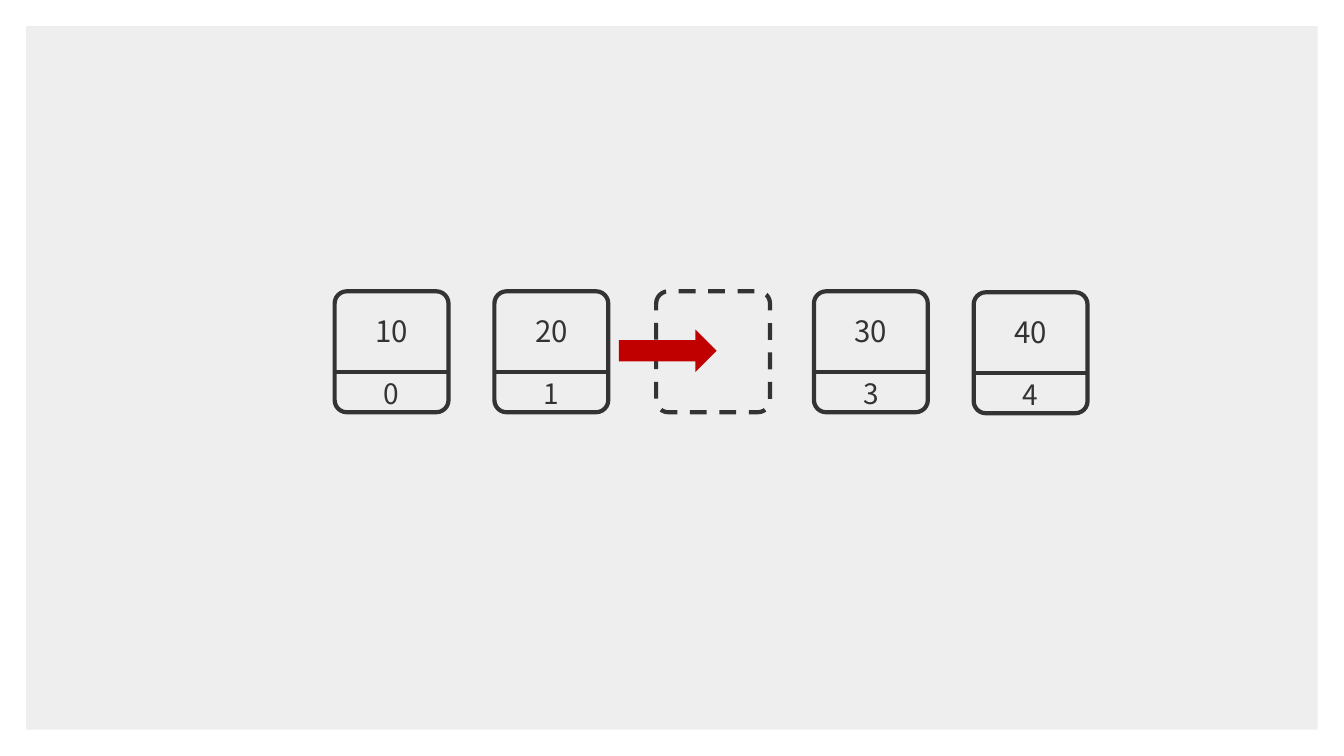
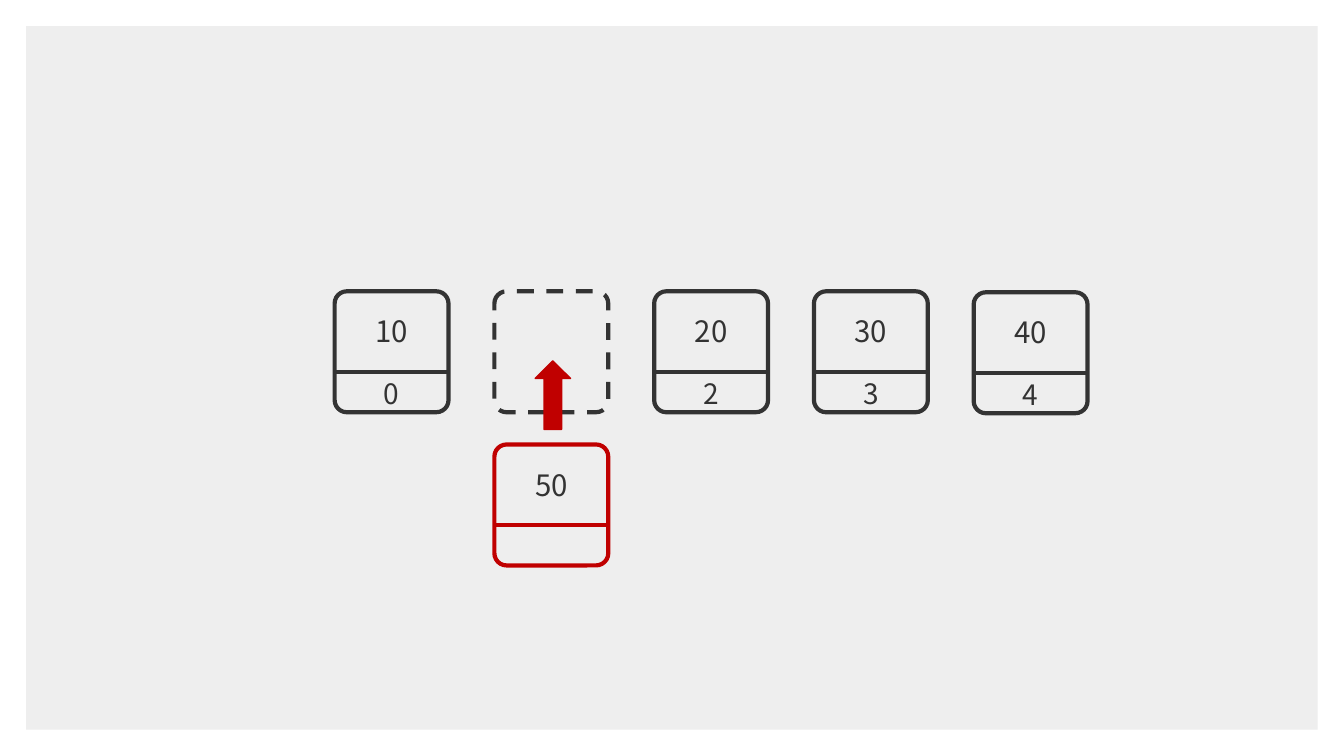
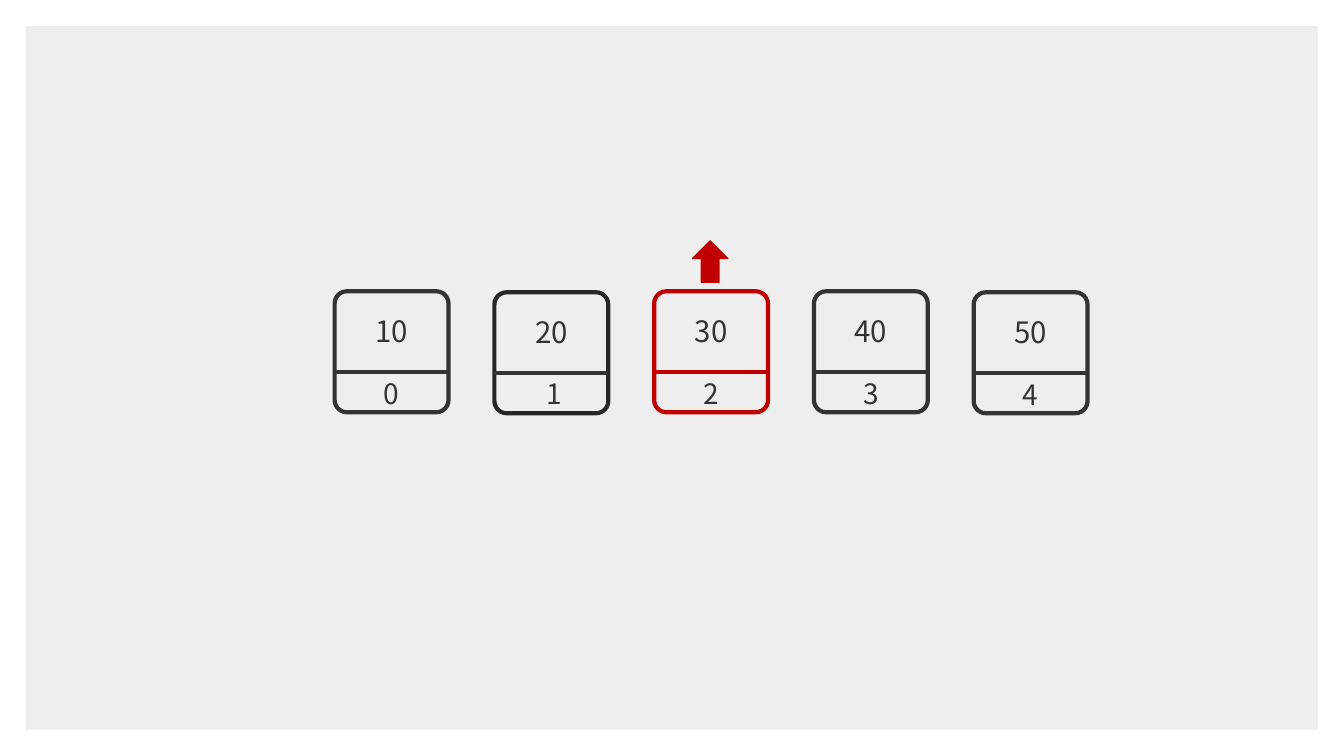
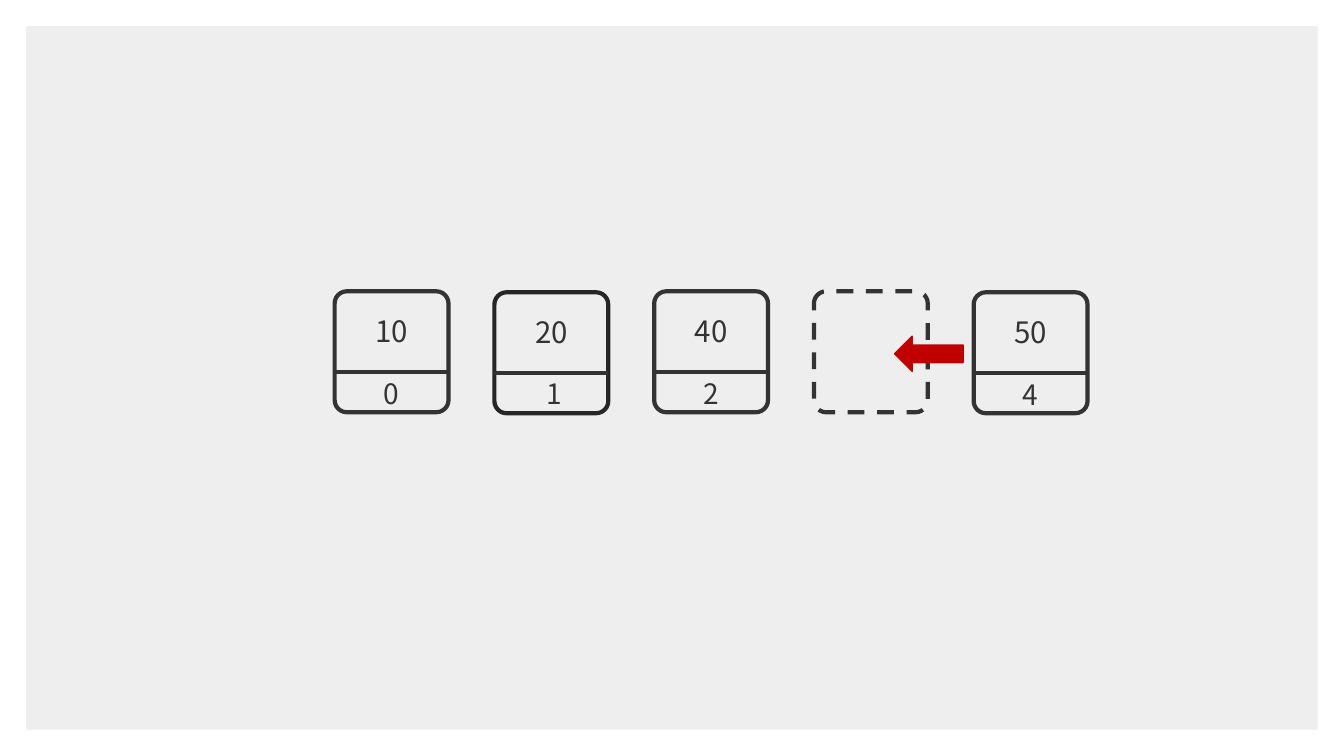
import dataclasses
import typing

import lxml.etree
import pptx
import pptx.dml.color
import pptx.enum.dml
import pptx.enum.shapes
import pptx.enum.text
import pptx.oxml.ns
import pptx.util

Pt = pptx.util.Pt
Preset = pptx.enum.shapes.MSO_SHAPE
Anchor = pptx.enum.text.MSO_ANCHOR

COLORS = {
    "panel": "EEEEEE",
    "ink": "333333",
    "dark": "262626",
    "accent": "C00000",
}
FONT = "Noto Sans CJK KR"
SLIDE_WIDTH, SLIDE_HEIGHT = 960, 540
PANEL_MARGIN = 18.72
ROW_LEFT, ROW_TOP, PITCH = 239.04, 208.08, 114.12
CELL_WIDTH, CELL_HEIGHT = 81.36, 86.4
DIVIDER_DROP = 57.6
VALUE_DROP, VALUE_HEIGHT = 12.24, 32.4
INDEX_HEIGHT = 31.68
LINE_WIDTH = 3
LOWERED = 0.72
INSERT_DROP = 109.44
INDEX_NUDGE = 2.16


@dataclasses.dataclass(frozen=True)
class Cell:
    slot: int
    value: str
    index: str = ""
    border: str = "ink"
    divider: str = "ink"
    drop: float = 0
    index_nudge: float = 0


@dataclasses.dataclass(frozen=True)
class Gap:
    slot: int
    nudge: float = 0


@dataclasses.dataclass(frozen=True)
class Arrow:
    preset: typing.Any
    left: float
    top: float
    width: float
    height: float
    rotation: float = 0
    outline: float = 1


@dataclasses.dataclass(frozen=True)
class Step:
    cells: tuple[Cell, ...]
    arrow: Arrow
    gap: typing.Optional[Gap] = None


def apply_format(target: typing.Any, values: dict[str, typing.Any]) -> None:
    for name, value in values.items():
        setattr(target, name, value)


def rgb(color: str) -> pptx.dml.color.RGBColor:
    return pptx.dml.color.RGBColor.from_string(COLORS[color])


def slot_left(slot: int) -> float:
    return ROW_LEFT + slot * PITCH


def draw_line(line: typing.Any, color: str, width: float) -> None:
    line.color.rgb = rgb(color)
    line.width = Pt(width)


def add_frame(shapes: typing.Any, left: float, top: float, color: str) -> typing.Any:
    frame = shapes.add_shape(
        Preset.ROUNDED_RECTANGLE, Pt(left), Pt(top), Pt(CELL_WIDTH), Pt(CELL_HEIGHT)
    )
    frame.shadow.inherit = False
    frame.adjustments[0] = 0.107
    frame.fill.background()
    draw_line(frame.line, color, LINE_WIDTH)
    return frame


def add_divider(shapes: typing.Any, left: float, top: float, color: str) -> None:
    divider = shapes.add_connector(
        pptx.enum.shapes.MSO_CONNECTOR.STRAIGHT,
        Pt(left), Pt(top), Pt(left + CELL_WIDTH), Pt(top),
    )
    draw_line(divider.line, color, LINE_WIDTH)
    lxml.etree.SubElement(divider.element.spPr, pptx.oxml.ns.qn("a:effectLst"))


def add_label(
    shapes: typing.Any, text: str, left: float, top: float,
    height: float, size: float, anchor: typing.Any,
) -> None:
    label = shapes.add_textbox(Pt(left), Pt(top), Pt(CELL_WIDTH), Pt(height))
    apply_format(label.text_frame, {
        "word_wrap": True,
        "auto_size": pptx.enum.text.MSO_AUTO_SIZE.SHAPE_TO_FIT_TEXT,
        "vertical_anchor": anchor,
    })
    paragraph = label.text_frame.paragraphs[0]
    paragraph.alignment = pptx.enum.text.PP_ALIGN.CENTER
    run = paragraph.add_run()
    run.text = text
    apply_format(run.font, {"name": FONT, "size": Pt(size)})
    run.font.color.rgb = rgb("ink")


def add_cell(slide: typing.Any, cell: Cell) -> None:
    left, top = slot_left(cell.slot), ROW_TOP + cell.drop
    shapes = slide.shapes.add_group_shape().shapes
    add_frame(shapes, left, top, cell.border)
    add_divider(shapes, left, top + DIVIDER_DROP, cell.divider)
    if cell.index:
        index_top = ROW_TOP if cell.index_nudge else top
        add_label(shapes, cell.index, left + cell.index_nudge,
                  index_top + DIVIDER_DROP, INDEX_HEIGHT, 20, Anchor.TOP)
    add_label(shapes, cell.value, left, top + VALUE_DROP,
              VALUE_HEIGHT, 21, Anchor.MIDDLE)


def add_gap(slide: typing.Any, gap: Gap) -> None:
    frame = add_frame(slide.shapes, slot_left(gap.slot) + gap.nudge, ROW_TOP, "ink")
    frame.line.dash_style = pptx.enum.dml.MSO_LINE.DASH


def add_arrow(slide: typing.Any, arrow: Arrow) -> None:
    pointer = slide.shapes.add_shape(
        arrow.preset, Pt(arrow.left), Pt(arrow.top), Pt(arrow.width), Pt(arrow.height)
    )
    pointer.shadow.inherit = False
    pointer.rotation = arrow.rotation
    pointer.fill.solid()
    pointer.fill.fore_color.rgb = rgb("accent")
    if arrow.outline:
        draw_line(pointer.line, "accent", arrow.outline)
    else:
        pointer.line.fill.background()


def move_panel_to_master(deck: typing.Any, slide: typing.Any) -> None:
    panel = slide.shapes.add_shape(
        Preset.RECTANGLE, Pt(PANEL_MARGIN), Pt(PANEL_MARGIN),
        Pt(SLIDE_WIDTH - 2 * PANEL_MARGIN), Pt(SLIDE_HEIGHT - 2 * PANEL_MARGIN),
    )
    panel.shadow.inherit = False
    panel.fill.solid()
    panel.fill.fore_color.rgb = rgb("panel")
    panel.line.fill.background()
    panel.element.xpath("./p:nvSpPr/p:cNvPr")[0].set("id", "100")
    deck.slide_master.shapes.element.insert(2, panel.element)


FIRST = Cell(0, "10", "0")
SECOND_DARK = Cell(1, "20", "1", border="dark", drop=LOWERED, index_nudge=INDEX_NUDGE)
LAST_40 = Cell(4, "40", "4", drop=LOWERED)
LAST_50 = Cell(4, "50", "4", drop=LOWERED)

STEPS = (
    Step(
        (FIRST, Cell(1, "20", "1"), Cell(3, "30", "3"), LAST_40),
        Arrow(Preset.RIGHT_ARROW, 442.08, 235.44, 69.84, 30.24, outline=0),
        Gap(2, nudge=1.44),
    ),
    Step(
        (
            FIRST, Cell(2, "20", "2"), Cell(3, "30", "3"),
            Cell(1, "50", border="accent", divider="accent", drop=INSERT_DROP),
            LAST_40,
        ),
        Arrow(Preset.UP_ARROW, 382.32, 257.76, 25.2, 48.96),
        Gap(1),
    ),
    Step(
        (
            FIRST, SECOND_DARK,
            Cell(2, "30", "2", border="accent", divider="accent"),
            Cell(3, "40", "3"), LAST_50,
        ),
        Arrow(Preset.UP_ARROW, 494.64, 172.08, 25.2, 29.52),
    ),
    Step(
        (FIRST, SECOND_DARK, Cell(2, "40", "2"), LAST_50),
        Arrow(Preset.UP_ARROW, 650.88, 228.24, 25.2, 48.96, rotation=270),
        Gap(3),
    ),
)


def main() -> None:
    deck = pptx.Presentation()
    apply_format(deck, {
        "slide_width": Pt(SLIDE_WIDTH),
        "slide_height": Pt(SLIDE_HEIGHT),
    })
    blank = deck.slide_layouts[6]
    for number, step in enumerate(STEPS):
        slide = deck.slides.add_slide(blank)
        if number == 0:
            move_panel_to_master(deck, slide)
        for cell in step.cells:
            add_cell(slide, cell)
        if step.gap:
            add_gap(slide, step.gap)
        add_arrow(slide, step.arrow)
    deck.save("out.pptx")


main()
